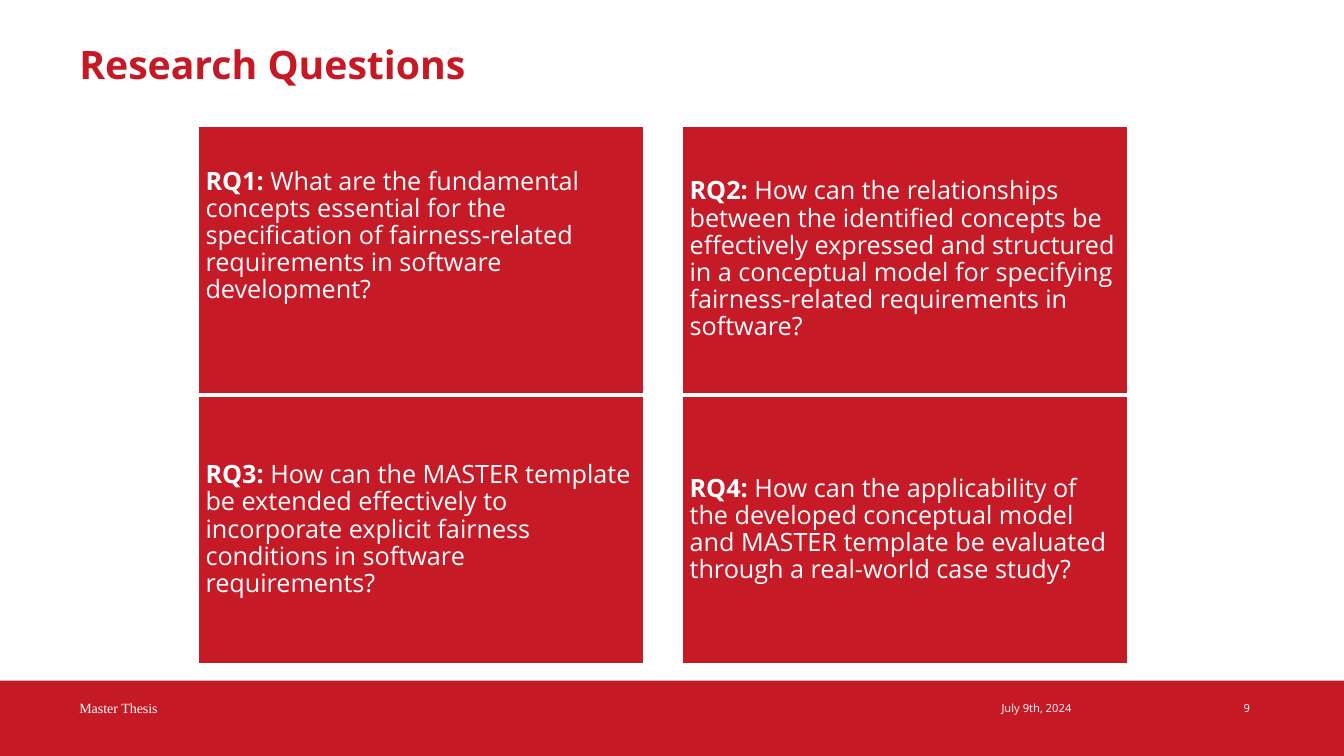
from pptx import Presentation, util as u
from pptx.dml.color import RGBColor
from pptx.enum import shapes, text

COLORS = {"band": "C51926", "card": "C61A27", "white": "FFFFFF"}

deck = Presentation()
deck.slide_width, deck.slide_height = u.Cm(33.87), u.Cm(19.05)
slide = deck.slides.add_slide(deck.slide_layouts[6])


def add_block(left, top, width, height, runs=(), fill=None, line=None, size=18,
              font="Open Sans", color="white", spacing=None, margin=None,
              bottom=None, anchor=text.MSO_ANCHOR.TOP):
    """Add a rectangle with one paragraph, given as (wording, bold) runs."""
    area = [u.Cm(length) for length in (left, top, width, height)]
    if fill:
        block = slide.shapes.add_shape(shapes.MSO_SHAPE.RECTANGLE, *area)
        block.shadow.inherit = False
        block.fill.solid()
        block.fill.fore_color.rgb = RGBColor.from_string(COLORS[fill])
        if line:
            block.line.color.rgb = RGBColor.from_string(COLORS[line])
            block.line.width = u.Pt(1)
        else:
            block.line.fill.background()
    else:
        block = slide.shapes.add_textbox(*area)
    frame = block.text_frame
    frame.word_wrap = True
    frame.vertical_anchor = anchor
    if margin is not None:
        frame.margin_left = frame.margin_right = u.Cm(margin)
        frame.margin_top = frame.margin_bottom = u.Cm(margin)
    if bottom is not None:
        frame.margin_bottom = u.Cm(bottom)
    paragraph = frame.paragraphs[0]
    paragraph.alignment = text.PP_ALIGN.LEFT
    if spacing:
        paragraph.line_spacing = spacing
    for wording, bold in runs:
        run = paragraph.add_run()
        run.text = wording
        run.font.name = font
        run.font.size = u.Pt(size)
        run.font.bold = bold
        run.font.color.rgb = RGBColor.from_string(COLORS[color])


# Footer
add_block(0, 17.15, 33.87, 1.9, fill="band")
add_block(31.09, 17.55, 1.83, 0.69, [("9", False)], size=8)
add_block(24.99, 17.55, 4.9, 0.76, [("July 9th, 2024", False)], size=8)
add_block(1.75, 17.5, 12.6, 1.24, [("Master Thesis", False)], size=10,
          font="Times New Roman")

# Title
add_block(1.75, 1.02, 29.21, 2.74, [("Research Questions", True)], size=28,
          color="band", spacing=0.9)

# Research questions in a two by two grid; the first sits higher in its card
questions = [
    ("What are the fundamental concepts essential for the specification of "
     "fairness-related requirements in software development?", 1.36),
    ("How can the relationships between the identified concepts be effectively "
     "expressed and structured in a conceptual model for specifying "
     "fairness-related requirements in software?", 0.18),
    ("How can the MASTER template be extended effectively to incorporate "
     "explicit fairness conditions in software requirements?", 0.18),
    ("How can the applicability of the developed conceptual model and MASTER "
     "template be evaluated through a real-world case study?", 0.18),
]
for index, (question, bottom) in enumerate(questions):
    row, column = divmod(index, 2)
    add_block(5 + column * 12.2, 3.18 + row * 6.81, 11.23, 6.73,
              [(f"RQ{index + 1}: ", True), (question, False)],
              fill="card", line="white", spacing=0.9, margin=0.18,
              bottom=bottom, anchor=text.MSO_ANCHOR.MIDDLE)

deck.save("out.pptx")
